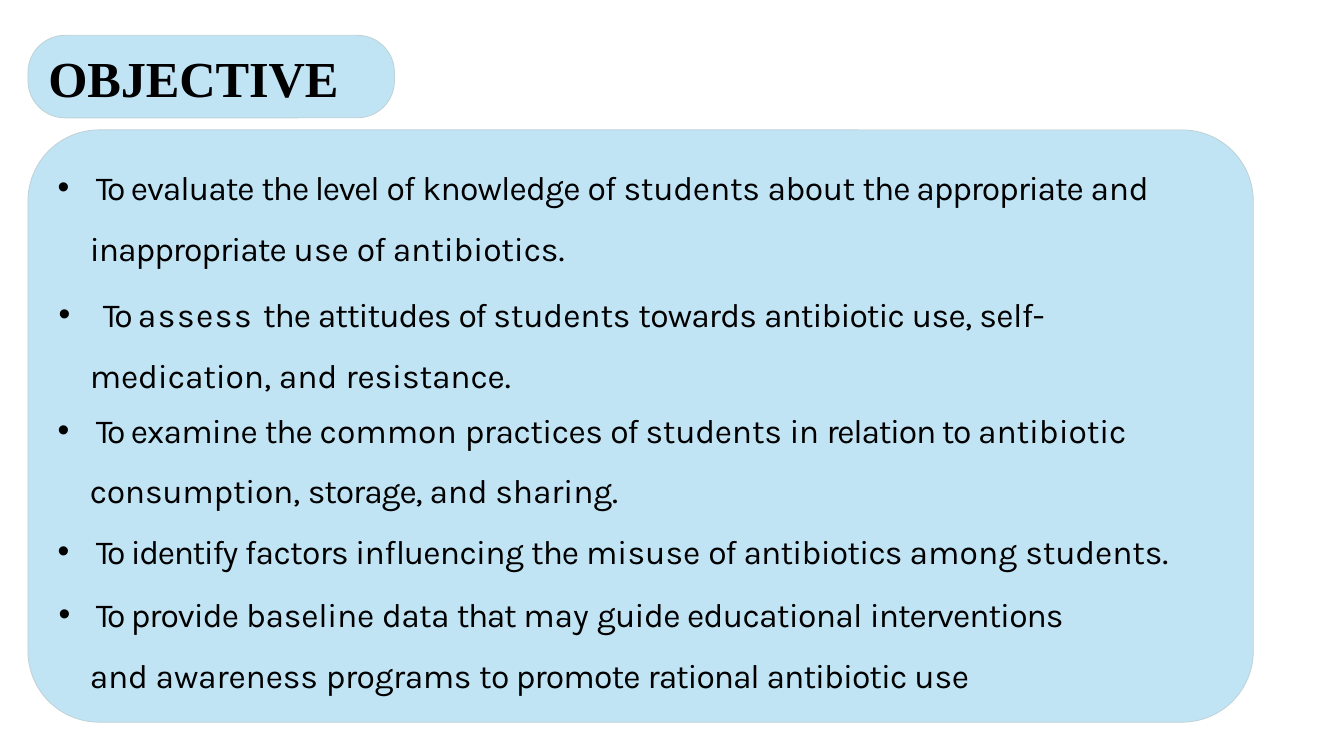
from dataclasses import dataclass
from typing import NamedTuple

from lxml.etree import SubElement
from pptx import Presentation
from pptx.dml.color import RGBColor
from pptx.enum.shapes import MSO_SHAPE
from pptx.enum.text import MSO_ANCHOR, MSO_AUTO_SIZE, PP_ALIGN
from pptx.oxml.ns import qn
from pptx.util import Inches, Pt

COLORS = {"panel": "C1E4F5", "outline": "BED2D7", "text": "000000"}
COLUMNS, ROWS = 48, 27


class Area(NamedTuple):
    """A rectangle in grid columns and rows."""
    left: float
    top: float
    width: float
    height: float


@dataclass
class Panel:
    area: Area
    roundness: float


@dataclass
class Style:
    """Margins and tabs in inches, line pitch in points."""
    margin: float
    indent: float = 0
    right: float = 0
    tabs: tuple[float, ...] = ()
    line_pitch: float | None = None


class Span(NamedTuple):
    text: str
    tracking: float


@dataclass
class Line:
    style: Style
    before: float
    spans: list[Span]


PANELS = [
    Panel(Area(1, 4.64, 43.76, 21.15), 0.12),
    Panel(Area(1, 1.26, 13.09, 2.95), 0.45),
]
TITLE_AREA = Area(1.69, 1.66, 10.51, 2.27)
LIST_AREA = Area(2.02, 5.18, 40.36, 19.58)

ITEM = Style(0.39, -0.38, tabs=(0.39,))
CONTINUED = Style(0.33)
WIDE_TAB = Style(0.33, -0.31, 0.6, (0.33, 0.46), 43.6)
NARROW_TAB = Style(0.33, -0.31, 0.6, (0.33, 0.39), 43.6)

OBJECTIVES = [
    Line(ITEM, 0, [
        Span("To ", -2), Span("evaluate ", -0.7), Span("the level ", -0.9), Span("of ", -0.7),
        Span("knowledge ", -0.6), Span("of ", -0.7), Span("students ", -0.2),
        Span("about ", -0.4), Span("the appropriate ", -0.8), Span("and", -0.2)]),
    Line(CONTINUED, 14.8, [
        Span("inappropriate ", -0.7), Span("use ", 0), Span("of ", -0.7),
        Span("antibiotics.", -0.1)]),
    Line(WIDE_TAB, 3.1, [
        Span("\t", 0), Span("To ", -2), Span("assess ", 1.1), Span("the ", -0.8),
        Span("attitudes ", -0.7), Span("of ", -1.1), Span("students ", -0.1),
        Span("towards ", -0.6), Span("antibiotic ", -0.7), Span("use, ", -0.5),
        Span("self-", -0.4), Span("medication, ", -0.1), Span("and ", 0),
        Span("resistance.", -0.1)]),
    Line(ITEM, 10.8, [
        Span("To ", -2), Span("examine ", -0.6), Span("the ", -0.8), Span("common ", 0),
        Span("practices ", -0.4), Span("of ", -1), Span("students ", -0.2), Span("in ", -0.5),
        Span("relation to ", -0.9), Span("antibiotic", -0.1)]),
    Line(CONTINUED, 14, [
        Span("consumption, ", -0.2), Span("storage, ", -0.8), Span("and ", -0.2),
        Span("sharing.", -0.1)]),
    Line(ITEM, 14.8, [
        Span("To ", -2), Span("identify ", -1), Span("factors influencing ", -0.5),
        Span("the ", -0.8), Span("misuse ", 0), Span("of ", -1), Span("antibiotics ", -0.6),
        Span("among ", 0), Span("students.", -0.1)]),
    Line(NARROW_TAB, 1.1, [
        Span("\t", 0), Span("To ", -2), Span("provide ", -0.7), Span("baseline ", -0.2),
        Span("data ", -0.5), Span("that ", -1), Span("may ", 0),
        Span("guide educational ", -0.5), Span("interventions ", -0.7), Span("and ", -0.2),
        Span("awareness ", -0.1), Span("programs ", -0.3), Span("to promote ", -0.6),
        Span("rational ", -0.8), Span("antibiotic ", -0.7), Span("use", -0.2)]),
]


def place(shape, area: Area, deck) -> None:
    column, row = deck.slide_width / COLUMNS, deck.slide_height / ROWS
    shape.left, shape.width = round(area.left * column), round(area.width * column)
    shape.top, shape.height = round(area.top * row), round(area.height * row)


def add_panel(page, panel: Panel, deck) -> None:
    shape = page.shapes.add_shape(MSO_SHAPE.ROUNDED_RECTANGLE, 0, 0, 0, 0)
    place(shape, panel.area, deck)
    shape.adjustments[0] = panel.roundness
    shape.shadow.inherit = False
    shape.fill.solid()
    shape.fill.fore_color.rgb = RGBColor.from_string(COLORS["panel"])
    shape.line.color.rgb = RGBColor.from_string(COLORS["outline"])
    shape.line.width = Pt(0.6)


def prepare(placeholder, area: Area, top_inset: float, deck):
    """Move a placeholder to the front and give it a plain, top-aligned frame."""
    place(placeholder, area, deck)
    tree = placeholder._element.getparent()
    tree.append(placeholder._element)
    frame = placeholder.text_frame
    frame.margin_left = frame.margin_right = frame.margin_bottom = 0
    frame.margin_top = Inches(top_inset)
    frame.vertical_anchor = MSO_ANCHOR.TOP
    frame.auto_size = MSO_AUTO_SIZE.NONE
    frame.word_wrap = True
    return frame


def set_layout(para, style: Style) -> None:
    """Write the margins, bullet and tab stops of a paragraph."""
    properties = para._p.get_or_add_pPr()
    for name, inches in (("marL", style.margin), ("marR", style.right), ("indent", style.indent)):
        properties.set(name, str(Inches(inches)))
    if style.indent:
        SubElement(properties, qn("a:buFont"), typeface="Arial")
        SubElement(properties, qn("a:buChar"), char="•")
    else:
        SubElement(properties, qn("a:buNone"))
    if style.tabs:
        stops = SubElement(properties, qn("a:tabLst"))
        for stop in style.tabs:
            SubElement(stops, qn("a:tab"), pos=str(Inches(stop)), algn="l")


def write_line(para, line: Line, font: str, size: int, bold: bool = False) -> None:
    set_layout(para, line.style)
    para.alignment = PP_ALIGN.LEFT
    para.space_before = Pt(line.before)
    para.line_spacing = Pt(line.style.line_pitch) if line.style.line_pitch else 1.0
    para.font.name, para.font.size, para.font.bold = font, Pt(size), bold
    para.font.color.rgb = RGBColor.from_string(COLORS["text"])
    for span in line.spans:
        run = para.add_run()
        run.text = span.text
        run._r.get_or_add_rPr().set("spc", str(round(span.tracking * 100)))


def main() -> None:
    deck = Presentation()
    deck.slide_width, deck.slide_height = Inches(13.33), Inches(7.5)
    page = deck.slides.add_slide(deck.slide_layouts[1])
    for panel in PANELS:
        add_panel(page, panel, deck)

    body = prepare(page.placeholders[1], LIST_AREA, 0.22, deck)
    for index, line in enumerate(OBJECTIVES):
        para = body.add_paragraph() if index else body.paragraphs[0]
        write_line(para, line, "Karla", 24)

    title = prepare(page.shapes.title, TITLE_AREA, 0.01, deck)
    heading = Line(Style(0.01), 0, [Span("OBJECTIVE", -0.1)])
    write_line(title.paragraphs[0], heading, "Times New Roman", 36, bold=True)
    deck.save("out.pptx")


if __name__ == "__main__":
    main()
